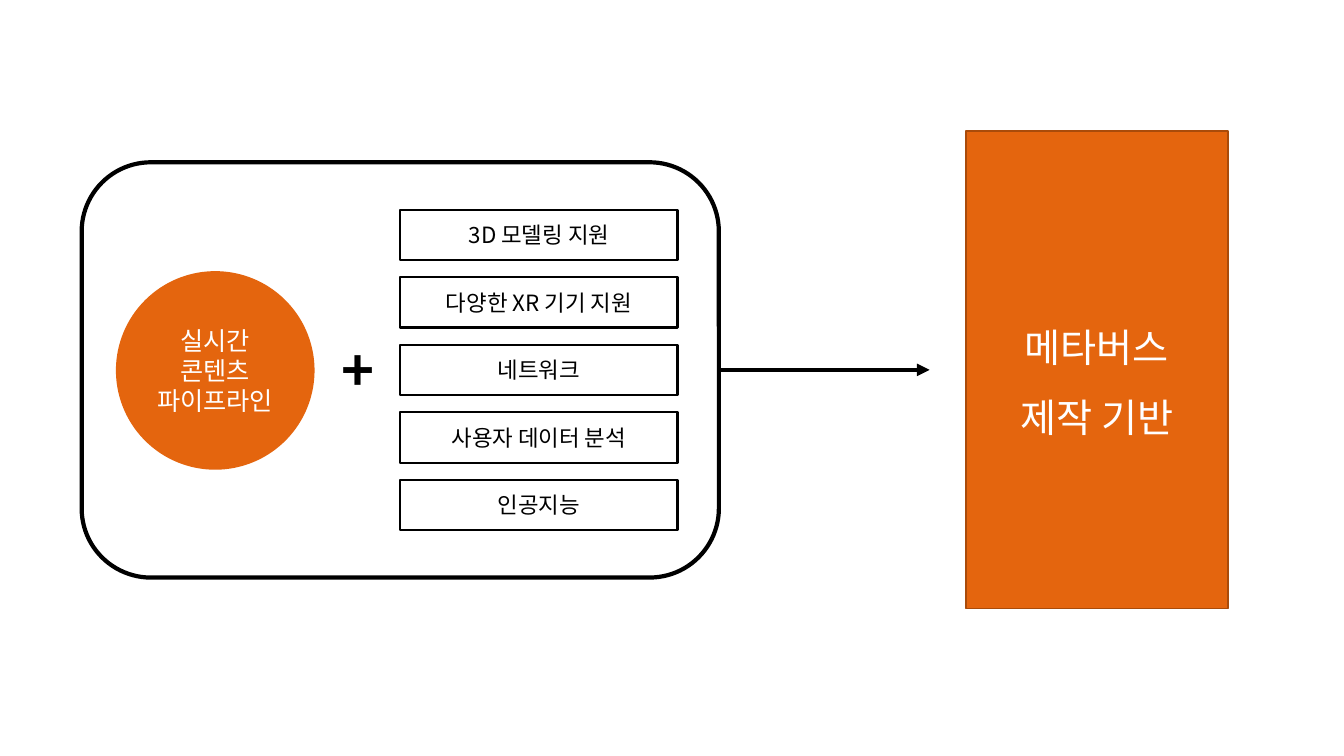
from lxml.etree import SubElement
from pptx import Presentation
from pptx.dml.color import RGBColor
from pptx.enum.shapes import MSO_CONNECTOR, MSO_SHAPE
from pptx.enum.text import MSO_ANCHOR, MSO_AUTO_SIZE, PP_ALIGN
from pptx.oxml.ns import qn
from pptx.util import Inches, Pt

FONT = "Noto Sans CJK KR"
BLACK, WHITE, ORANGE, RUST = "000000", "FFFFFF", "E4650E", "A94B0A"


def paint(target, color):
    """Set a solid hex colour on a fill."""
    target.solid()
    target.fore_color.rgb = RGBColor.from_string(color)


class Deck:
    """Hold the style and the current slide."""

    def __init__(self):
        """Start a wide deck with one blank slide."""
        self.show = Presentation()
        self.show.slide_width = Inches(13.33)
        self.show.slide_height = Inches(7.5)
        self.slide = self.show.slides.add_slide(self.show.slide_layouts[6])

    def letter(self, shape, text, size, color, bold=False, align=PP_ALIGN.CENTER, gap=None):
        """Put styled text into a shape."""
        frame = shape.text_frame
        frame.text = text
        for line in frame.paragraphs:
            line.alignment = align
            line.line_spacing = gap
            for run in line.runs:
                font = run.font
                font.name, font.size, font.bold = FONT, Pt(size), bold
                paint(font.fill, color)
                SubElement(run._r.get_or_add_rPr(), qn("a:ea"), typeface=FONT)

    def shape(self, kind, box, fill=None, line=None, width=1):
        """Add a preset shape with its fill and outline."""
        shape = self.slide.shapes.add_shape(kind, *map(Inches, box))
        shape.shadow.inherit = False
        shape.text_frame.vertical_anchor = MSO_ANCHOR.MIDDLE
        if fill:
            paint(shape.fill, fill)
        else:
            shape.fill.background()
        if line:
            paint(shape.line.fill, line)
            shape.line.width = Pt(width)
        else:
            shape.line.fill.background()
        return shape

    def label(self, box, text, size, color):
        """Add a bold text box that does not wrap."""
        label = self.slide.shapes.add_textbox(*map(Inches, box))
        label.text_frame.word_wrap = False
        label.text_frame.auto_size = MSO_AUTO_SIZE.SHAPE_TO_FIT_TEXT
        self.letter(label, text, size, color, bold=True, align=PP_ALIGN.LEFT)

    def arrow(self, source, start, end):
        """Add an arrow that leaves the right side of a shape."""
        arrow = self.slide.shapes.add_connector(
            MSO_CONNECTOR.STRAIGHT, *map(Inches, start + end))
        arrow.begin_connect(source, 3)
        paint(arrow.line.fill, BLACK)
        arrow.line.width = Pt(3)
        SubElement(arrow.line._get_or_add_ln(), qn("a:tailEnd"), type="triangle")
        SubElement(arrow._element.spPr, qn("a:effectLst"))


def main():
    """Build the slide and save it."""
    deck = Deck()
    frame = deck.shape(MSO_SHAPE.ROUNDED_RECTANGLE, (0.81, 1.61, 6.32, 4.12), line=BLACK, width=3)
    core = deck.shape(MSO_SHAPE.OVAL, (1.15, 2.69, 1.97, 1.97), fill=ORANGE)
    deck.letter(core, "실시간\n콘텐츠\n파이프라인", 18, WHITE)
    deck.label((3.29, 3.28, 0.53, 0.77), "+", 40, BLACK)

    parts = ["3D 모델링 지원", "다양한 XR 기기 지원", "네트워크", "사용자 데이터 분석", "인공지능"]
    for row, text in enumerate(parts):
        part = deck.shape(MSO_SHAPE.RECTANGLE, (3.97, 2.08 + 0.67 * row, 2.75, 0.5),
                          line=BLACK, width=1.5)
        deck.letter(part, text, 16, BLACK)

    deck.arrow(frame, (7.13, 3.67), (9.22, 3.67))
    goal = deck.shape(MSO_SHAPE.RECTANGLE, (9.58, 1.3, 2.6, 4.74), fill=ORANGE, line=RUST)
    deck.letter(goal, "메타버스\n제작 기반", 28, WHITE, gap=1.5)
    deck.show.save("out.pptx")


if __name__ == "__main__":
    main()
